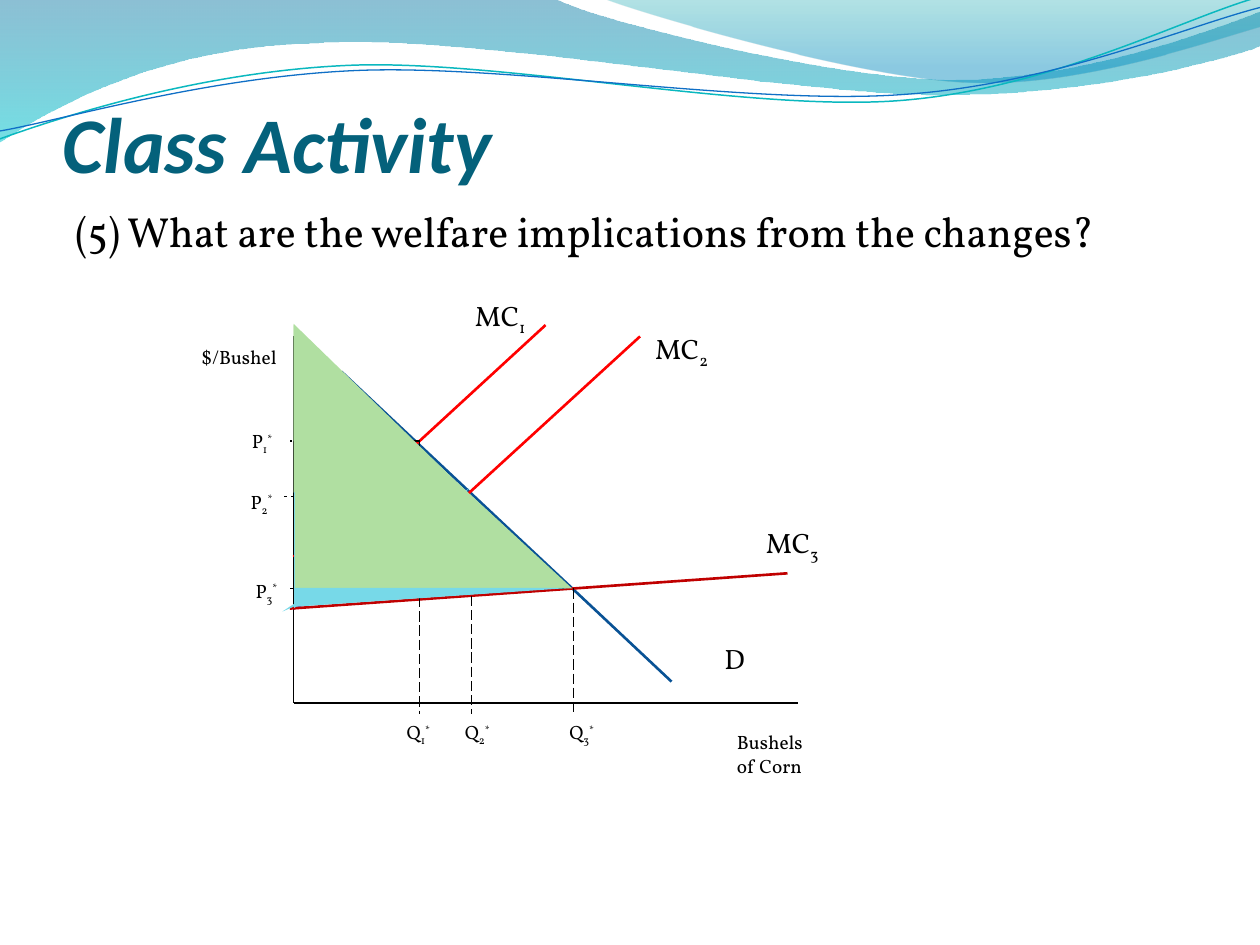
"""Build the Class Activity slide: welfare under shifting marginal cost of corn."""
import math
import lxml.etree
import pptx
import pptx.dml.color
import pptx.enum.dml
import pptx.enum.shapes
import pptx.enum.text
import pptx.oxml.ns
import pptx.util
from pptx.util import Inches

COLORS = {
    "black": "000000", "title": "04617B", "demand": "095295", "cost": "FF0000",
    "cost_shift": "7030A0", "cost_flat": "C00000", "consumer": "B0DFA1",
    "producer": "77D9E8", "teal_line": "0AB8BF", "blue_line": "0F6FC6",
    "sea": "0074A1", "aqua": "00C6CF", "green_teal": "00A1A9", "sky": "008BBF",
}
WAVE_TILT = 2.7
qn = pptx.oxml.ns.qn


def rgb(name):
    return pptx.dml.color.RGBColor.from_string(COLORS[name])


def add_text(text, left, top, width, height, size=11, font="Vollkorn", color="black",
             bold=False, italic=False, sub="", sup="", anchor="TOP", inset=0.1,
             bottom=0.05, before=0, grow=True):
    box = slide.shapes.add_textbox(Inches(left), Inches(top), Inches(width), Inches(height))
    frame = box.text_frame
    frame.word_wrap = True
    if grow:
        frame.auto_size = pptx.enum.text.MSO_AUTO_SIZE.SHAPE_TO_FIT_TEXT
    frame.vertical_anchor = getattr(pptx.enum.text.MSO_ANCHOR, anchor)
    frame.margin_left = frame.margin_right = Inches(inset)
    frame.margin_bottom = Inches(bottom)
    paragraph = frame.paragraphs[0]
    paragraph.space_before = pptx.util.Pt(before)
    for part, baseline in ((text, 0), (sub, -25000), (sup, 30000)):
        if part:
            run = paragraph.add_run()
            run.text = part
            run.font.size = pptx.util.Pt(size)
            run.font.name = font
            run.font.bold = bold
            run.font.italic = italic
            run.font.color.rgb = rgb(color)
            if baseline:
                run.font._element.set("baseline", str(baseline))


prs = pptx.Presentation()
prs.slide_width, prs.slide_height = Inches(10), Inches(7.5)
slide = prs.slides.add_slide(prs.slide_layouts[6])

waves = [
    ((0, 0), [(4.4, -0.01), (4.76, 0.17, 6.64, 0.63, 7.58, 0.63),
              (8.53, 0.63, 9.58, 0.26, 10, 0.09), (10.01, 0.36),
              (9.83, 0.44, 8.7, 0.76, 7.46, 0.75), (6.22, 0.75, 3.82, 0.28, 2.57, 0.34),
              (1.29, 0.36, 0.46, 0.83, -0.01, 1.13)],
     [(0, "sea", 45), (1, "aqua", 55)], None),
    ((4.79, -0.01), [(5.09, 0.11, 6.82, 0.62, 7.69, 0.65),
                     (8.56, 0.69, 9.61, 0.32, 10, 0.21), (10, 0)],
     [(0, "green_teal", 30), (0.8, "sky", 45)], None),
    ((-0.02, 1.11), [(0.48, 0.93, 1.58, 0.57, 2.77, 0.52),
                     (3.95, 0.47, 5.93, 0.89, 7.13, 0.8),
                     (8.33, 0.71, 9.38, 0.15, 9.98, -0.02)], None, ("teal_line", 0.85)),
    ((0, 1.04), [(0.47, 0.96, 1.64, 0.61, 2.83, 0.56),
                 (4.03, 0.51, 5.97, 0.84, 7.17, 0.75),
                 (8.36, 0.67, 9.41, 0.21, 10, 0.06)], None, ("blue_line", 0.75)),
]
for start, segments, gradient, outline in waves:
    tilt = math.radians(WAVE_TILT if outline else 0)
    level = []
    for segment in [start] + segments:
        offsets = [(x - 5, y - 0.58) for x, y in zip(segment[::2], segment[1::2])]
        level.append([(Inches(5 + dx * math.cos(tilt) - dy * math.sin(tilt)),
                       Inches(0.58 + dx * math.sin(tilt) + dy * math.cos(tilt)))
                      for dx, dy in offsets])
    builder = slide.shapes.build_freeform(*level[0][0])
    builder.add_line_segments([points[-1] for points in level[1:]], close=gradient is not None)
    wave = builder.convert_to_shape()
    for straight, points in zip(list(wave._element.iter(qn("a:lnTo"))), level[1:]):
        if len(points) == 3:
            straight.tag = qn("a:cubicBezTo")
            straight.remove(straight[0])
            for x, y in points:
                lxml.etree.SubElement(straight, qn("a:pt"), x=str(x - wave.left),
                                      y=str(y - wave.top))
    wave.shadow.inherit = False
    if gradient:
        wave.line.fill.background()
        wave.fill.gradient()
        wave.fill.gradient_angle = 270
        for stop, (position, color, _) in zip(wave.fill.gradient_stops, gradient):
            stop.position = position
            stop.color.rgb = rgb(color)
        for tint, (_, _, opacity) in zip(wave._element.spPr.iter(qn("a:srgbClr")), gradient):
            lxml.etree.SubElement(tint, qn("a:alpha")).set("val", str(opacity * 1000))
    else:
        wave.rotation = 360 - WAVE_TILT
        wave.fill.background()
        wave.line.color.rgb = rgb(outline[0])
        wave.line.width = pptx.util.Pt(outline[1])

add_text("Class Activity", 0.5, 0.77, 9, 0.73, size=45, font="Calibri", color="title",
         bold=True, italic=True, anchor="BOTTOM", inset=0, bottom=0, grow=False)
add_text("(5) What are the welfare implications from the changes?", 0.5, 1.58, 9, 5.33,
         size=24, before=4.8, grow=False)

axes = [(2.33, 2.67, 2.33, 5.58, "black", 1, False),
        (2.33, 5.58, 6.33, 5.58, "black", 1, False)]
curves = [(*ends, color, 1.5, False) for *ends, color in (
    (2.71, 2.95, 5.33, 5.41, "demand"),
    (2.33, 4.42, 4.33, 2.58, "cost"),
    (3.08, 4.5, 5.08, 2.67, "cost"),
    (2.33, 4.83, 3.08, 4.5, "cost_shift"),
    (2.3, 4.83, 6.25, 4.55, "cost_flat"))]
guides = [(*ends, "black", 0.75, True) for ends in (
    (3.33, 3.5, 3.33, 5.67), (3.33, 3.5, 2.3, 3.5),
    (3.74, 3.94, 2.25, 3.94), (3.74, 3.94, 3.74, 5.67),
    (4.48, 4.67, 2.3, 4.67), (4.55, 4.67, 4.55, 5.67))]
for x1, y1, x2, y2, color, weight, dashed in axes + curves + guides:
    line = slide.shapes.add_connector(pptx.enum.shapes.MSO_CONNECTOR.STRAIGHT,
                                      Inches(x1), Inches(y1), Inches(x2), Inches(y2))
    line.line.color.rgb = rgb(color)
    line.line.width = pptx.util.Pt(weight)
    if dashed:
        line.line.dash_style = pptx.enum.dml.MSO_LINE.LONG_DASH
    lxml.etree.SubElement(line._element.spPr, qn("a:effectLst"))

add_text("Bushels of Corn", 5.75, 5.75, 0.75, 0.47)
add_text("$/Bushel", 1.5, 2.69, 0.82, 0.29)
add_text("D", 5.65, 5.04, 0.25, 0.37, size=16)
for number, (left, top) in enumerate([(3.67, 2.32), (5.1, 2.58), (5.98, 4.12)], 1):
    add_text("MC", left, top, 0.88, 0.37, size=16, sub=str(number))
for number, (left, top) in enumerate([(1.9, 3.36), (1.89, 3.84), (1.93, 4.55)], 1):
    add_text("P", left, top, 0.4, 0.29, sub=str(number), sup="*")
for number, (left, width) in enumerate([(3.13, 0.4), (3.59, 0.51), (4.42, 0.47)], 1):
    add_text("Q", left, 5.67, width, 0.29, sub=str(number), sup="*")

surpluses = [
    (2.33, 2.58, 0.92, 0.92, 0, 0, "consumer"),
    (2.35, 3.52, 0.92, 0.92, 90, 0, "producer"),
    (2.33, 2.57, 1.38, 1.34, 0, 0, "consumer"),
    (2.54, 3.7, 0.92, 1.33, 90, 0, "producer"),
    (2.14, 4.35, 1.78, 0.17, 146.6, 0.48, "producer"),
    (2.34, 2.64, 2.2, 2.03, 0, 0, "consumer"),
    (3.37, 3.64, 0.15, 2.2, 90, 0, "producer"),
]
for left, top, width, height, rotation, apex, color in surpluses:
    surplus = slide.shapes.add_shape(pptx.enum.shapes.MSO_SHAPE.ISOSCELES_TRIANGLE,
                                     Inches(left), Inches(top), Inches(width), Inches(height))
    surplus.adjustments[0] = apex
    surplus.rotation = rotation
    surplus.shadow.inherit = False
    surplus.fill.solid()
    surplus.fill.fore_color.rgb = rgb(color)
    surplus.line.fill.background()

prs.save("out.pptx")
